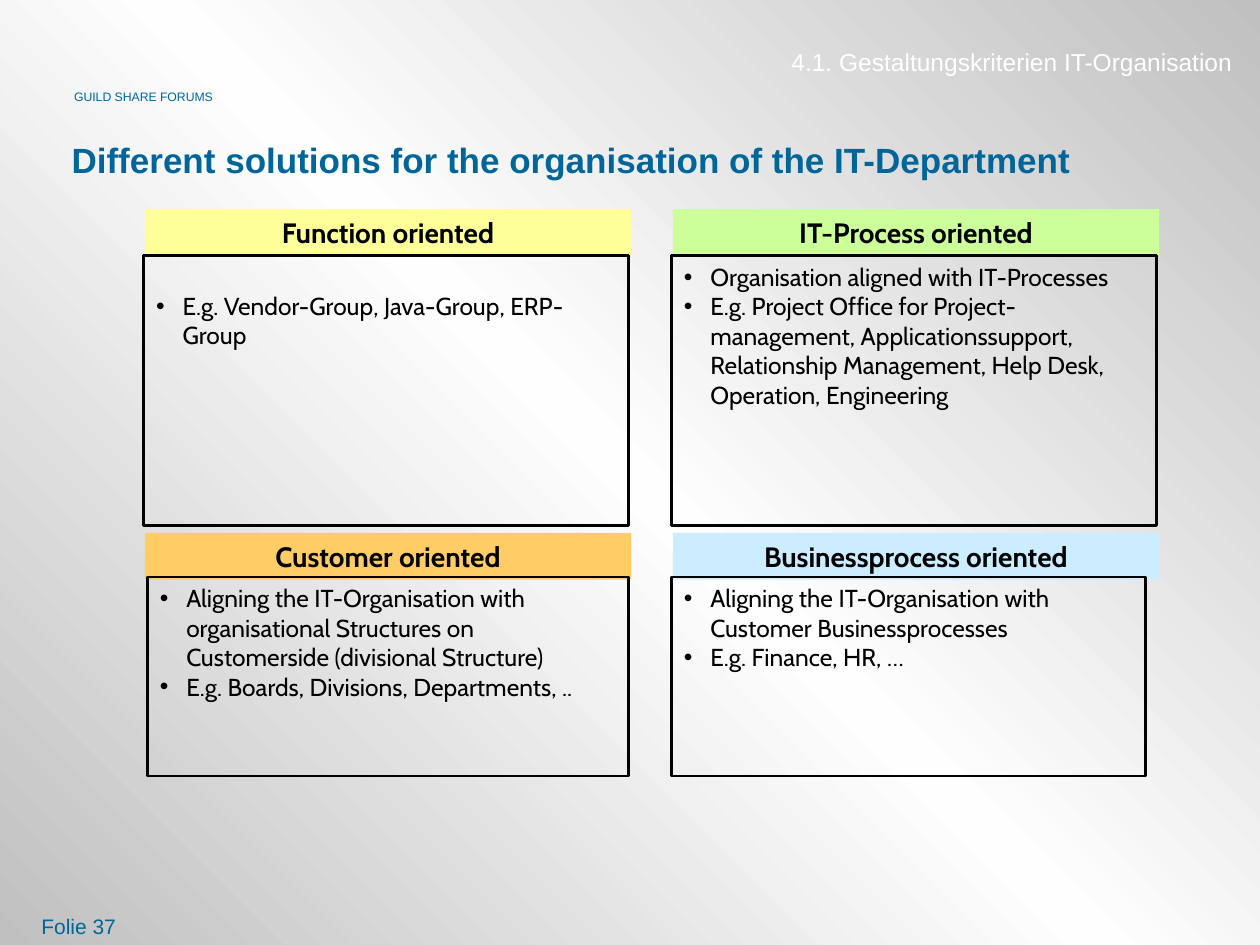
import copy
from typing import NamedTuple

import pptx
import pptx.dml.color
import pptx.enum.shapes
import pptx.enum.text
import pptx.oxml.ns
import pptx.util

Inches = pptx.util.Inches
Pt = pptx.util.Pt
ALIGN = pptx.enum.text.PP_ALIGN
ANCHOR = pptx.enum.text.MSO_ANCHOR
qn = pptx.oxml.ns.qn

COLORS = {
    "edge": "C0C0C0", "middle": "FEFEFE", "blue": "006699",
    "white": "FFFFFF", "black": "000000", "yellow": "FFFF99",
    "green": "CCFF99", "orange": "FFCC66", "sky": "CCECFF",
}
HEADER_WIDTH, HEADER_HEIGHT = 3.86, 0.37
BULLET_INDENT = 0.21


class Box(NamedTuple):
    left: float
    top: float
    width: float
    height: float


class Label(NamedTuple):
    text: str
    box: Box
    size: int
    color: str = "blue"
    bold: bool = False
    align: ALIGN = ALIGN.LEFT
    anchor: ANCHOR = ANCHOR.TOP
    wrap: bool = True


class Panel(NamedTuple):
    title: str
    color: str
    header_left: float
    header_top: float
    frame: Box
    bullets: list[str]
    top_inset: float = 0.05


LABELS = [
    Label("GUILD SHARE FORUMS", Box(0.49, 0.66, 1.3, 0.22), 7, wrap=False),
    Label("Folie 37", Box(0.23, 6.98, 2.33, 0.52), 12, anchor=ANCHOR.BOTTOM),
    Label("4.1. Gestaltungskriterien IT-Organisation", Box(3.17, 0.32, 6.71, 0.52),
          14, "white", align=ALIGN.RIGHT),
    Label("Different solutions for the organisation of the IT-Department",
          Box(0.47, 0.83, 9, 0.87), 20, bold=True, anchor=ANCHOR.MIDDLE),
]

PANELS = [
    Panel("Function oriented", "yellow", 1.15, 1.66, Box(1.14, 2.03, 3.85, 2.14),
          ["E.g. Vendor-Group, Java-Group, ERP-Group"], top_inset=0.28),
    Panel("Customer oriented", "orange", 1.15, 4.23, Box(1.17, 4.58, 3.82, 1.58),
          ["Aligning the IT-Organisation with organisational Structures on "
           "Customerside (divisional Structure)",
           "E.g. Boards, Divisions, Departments, .."]),
    Panel("IT-Process oriented", "green", 5.34, 1.66, Box(5.33, 2.03, 3.85, 2.14),
          ["Organisation aligned with IT-Processes",
           "E.g. Project Office for Project-management, Applicationssupport, "
           "Relationship Management, Help Desk, Operation, Engineering"]),
    Panel("Businessprocess oriented", "sky", 5.34, 4.23, Box(5.33, 4.58, 3.76, 1.58),
          ["Aligning the IT-Organisation with Customer Businessprocesses",
           "E.g. Finance, HR, …"]),
]


def rgb(name: str) -> pptx.dml.color.RGBColor:
    return pptx.dml.color.RGBColor.from_string(COLORS[name])


def style_paragraph(p, font: str, size: int, color: str,
                    bold: bool = False, align: ALIGN = ALIGN.LEFT) -> None:
    p.alignment = align
    for r in p.runs:
        r.font.name = font
        r.font.size = Pt(size)
        r.font.bold = bold
        r.font.color.rgb = rgb(color)


def add_bullet(p) -> None:
    pPr = p._p.get_or_add_pPr()
    pPr.set("marL", str(Inches(BULLET_INDENT)))
    pPr.set("indent", str(-Inches(BULLET_INDENT)))
    bullet_font = pPr.makeelement(qn("a:buFont"), {"typeface": "Arial"})
    bullet = pPr.makeelement(qn("a:buChar"), {"char": "•"})
    pPr.extend([bullet_font, bullet])


def set_background(slide) -> None:
    """Diagonal gradient, light in the middle and grey at both ends."""
    fill = slide.background.fill
    fill.gradient()
    fill.gradient_angle = 45
    stop_list = next(slide.background._cSld.iter(qn("a:gsLst")))
    stop_list.append(copy.deepcopy(stop_list[-1]))
    stops = zip(fill.gradient_stops, (0, 0.5, 1), ("edge", "middle", "edge"))
    for stop, position, color in stops:
        stop.position = position
        stop.color.rgb = rgb(color)


def add_label(slide, label: Label) -> None:
    s = slide.shapes.add_textbox(*map(Inches, label.box))
    tf = s.text_frame
    tf.text = label.text
    tf.word_wrap = label.wrap
    tf.vertical_anchor = label.anchor
    style_paragraph(tf.paragraphs[0], "Arial", label.size, label.color,
                    label.bold, label.align)


def add_rectangle(slide, box: Box):
    s = slide.shapes.add_shape(pptx.enum.shapes.MSO_SHAPE.RECTANGLE, *map(Inches, box))
    s.shadow.inherit = False
    s.text_frame.word_wrap = True
    s.text_frame.vertical_anchor = ANCHOR.TOP
    return s


def add_panel(slide, panel: Panel) -> None:
    header = add_rectangle(slide, Box(panel.header_left, panel.header_top,
                                      HEADER_WIDTH, HEADER_HEIGHT))
    header.fill.solid()
    header.fill.fore_color.rgb = rgb(panel.color)
    header.line.fill.background()
    header.text_frame.text = panel.title
    style_paragraph(header.text_frame.paragraphs[0], "Cabin", 16, "black",
                    True, ALIGN.CENTER)

    frame = add_rectangle(slide, panel.frame)
    frame.fill.background()
    frame.line.color.rgb = rgb("black")
    frame.line.width = Pt(1.5)
    tf = frame.text_frame
    tf.margin_top = Inches(panel.top_inset)
    tf.text = "\n".join(panel.bullets)
    for p in tf.paragraphs:
        add_bullet(p)
        style_paragraph(p, "Cabin", 14, "black")


def main() -> None:
    prs = pptx.Presentation()
    prs.slide_width, prs.slide_height = Inches(10), Inches(7.5)
    slide = prs.slides.add_slide(prs.slide_layouts[6])
    set_background(slide)
    for label in LABELS:
        add_label(slide, label)
    for panel in PANELS:
        add_panel(slide, panel)
    prs.save("out.pptx")


if __name__ == "__main__":
    main()
